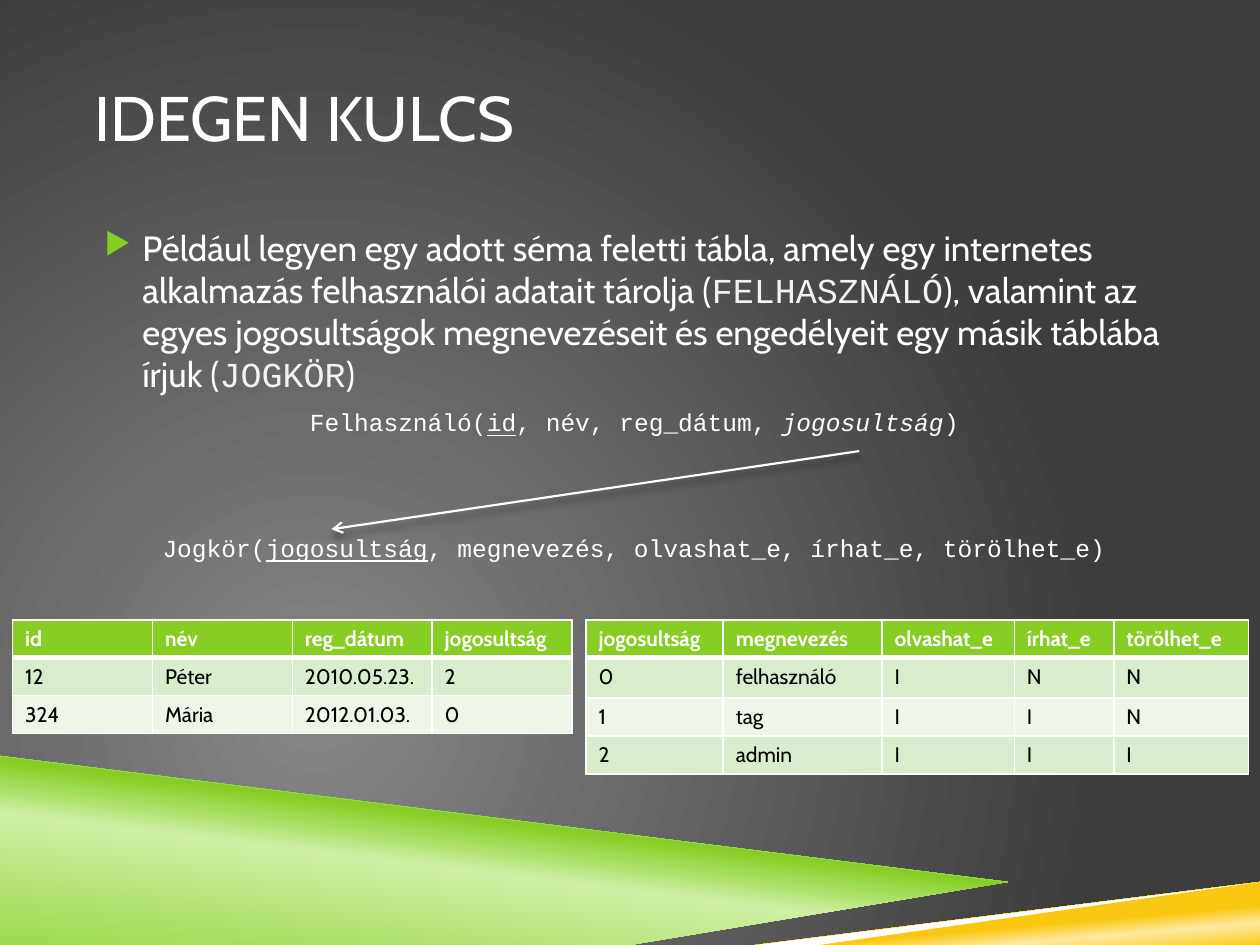
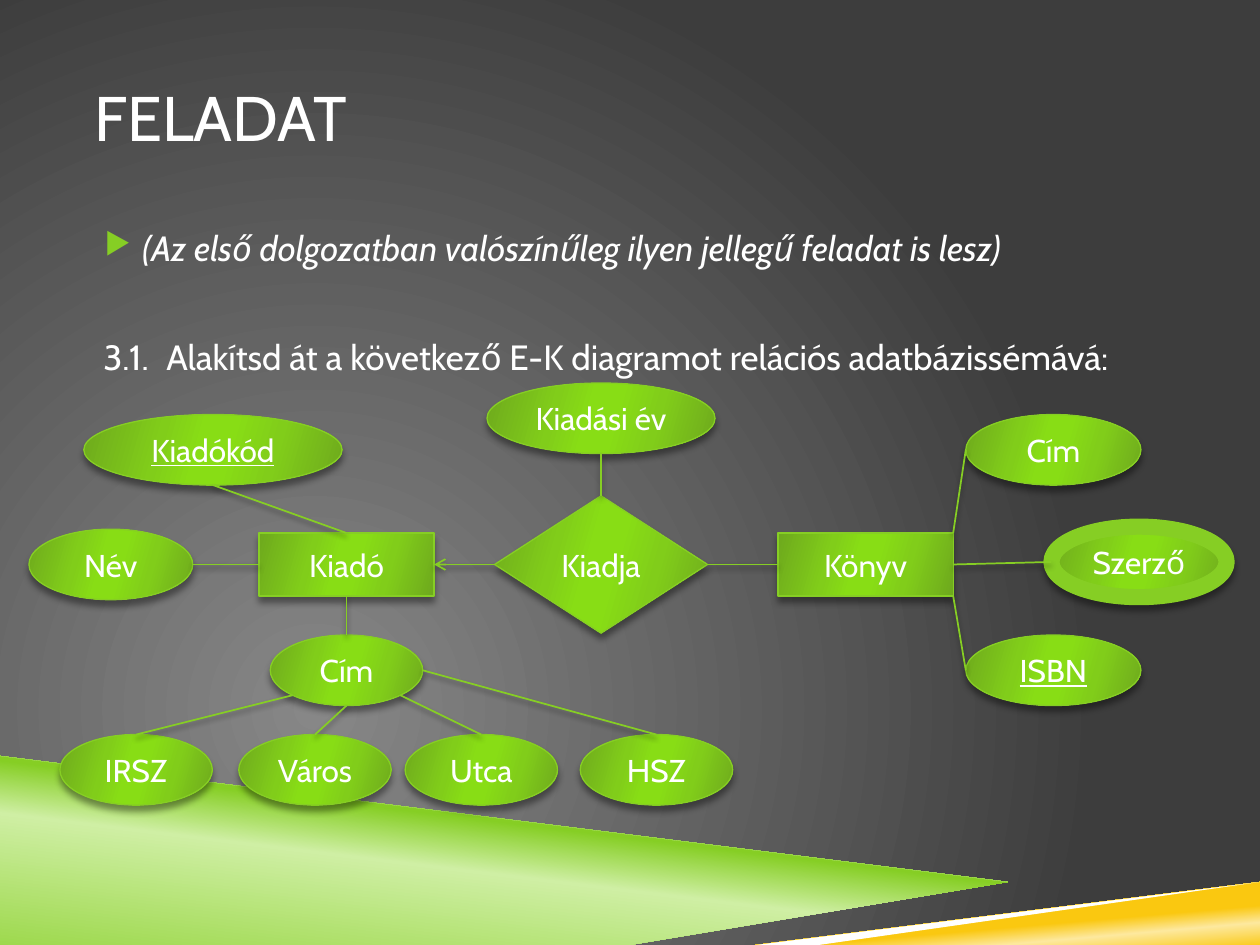
import math
from dataclasses import dataclass

import pptx
import pptx.dml.color
import pptx.enum.shapes
import pptx.enum.text
import pptx.oxml
import pptx.oxml.ns
import pptx.util

SHAPES = pptx.enum.shapes.MSO_SHAPE
ALIGN = pptx.enum.text.PP_ALIGN
ANCHOR = pptx.enum.text.MSO_ANCHOR
Inches, Pt = pptx.util.Inches, pptx.util.Pt
qn = pptx.oxml.ns.qn


@dataclass(frozen=True)
class Theme:
    white: str = "FFFFFF"
    black: str = "000000"
    code: str = "F2F2F2"
    green: str = "86CE24"
    bands: tuple = ("EDF6E8", "D9EDCD")
    sans: str = "Cabin"
    mono: str = "Courier New"
    title_size: int = 36
    body_size: int = 20
    node_size: int = 18
    schema_size: int = 14
    cell_size: int = 12
    background: tuple = ((0, "878787"), (100, "3D3D3D"))
    green_band: tuple = ((0, "86CE24"), (52, "CFEFA4"), (66, "86CE24"))
    gold_band: tuple = ((28, "FAC810"), (40, "FDE99F"), (48, "FAC810"))
    node_fill: tuple = ((0, "6EA91D"), (30, "81CD1A"), (45, "88DD15"),
                        (55, "88DD15"), (73, "81CD1A"), (100, "6EA91D"))
    deep_shadow: tuple = (4, 3.3)    # blur, distance
    light_shadow: tuple = (3, 2)


THEME = Theme()
WIDTH, HEIGHT = 10, 7.5
TITLE_AREA = (0.75, 0.3, 8.5, 1.25)
BODY_AREA = (0.75, 1.75, 8.5, 4.08)

# Footer bands: outline, then a colour or (stops, angle)
BANDS = [
    ([(0, 5.97), (7.92, 6.92), (2, HEIGHT), (0, HEIGHT)], (THEME.green_band, 277)),
    ([(1.98, HEIGHT), (WIDTH, 6.72), (WIDTH, HEIGHT)], (THEME.gold_band, 265)),
    ([(0, 5.92), (0, 6), (7.9, 6.93), (8.32, 6.9)], THEME.white),
    ([(WIDTH, 6.69), (1.84, HEIGHT), (2.66, HEIGHT), (WIDTH, 6.77)], THEME.white),
]

# Text styles used by the runs
BODY = dict(size=THEME.body_size)
CODE = dict(size=THEME.body_size, face=THEME.mono, color=THEME.code)
SCHEMA = dict(size=THEME.schema_size, face=THEME.mono)
KEY = dict(SCHEMA, underline=True)
FOREIGN = dict(SCHEMA, italic=True)
BULLET = dict(margin=0.38, indent=-0.3, bullet=True)
CENTERED = dict(margin=0.07, align=ALIGN.CENTER)

# Slide 1: paragraphs as (layout, runs)
FOREIGN_KEY_BODY = [
    (BULLET, [
        ("Például legyen egy adott séma feletti tábla, amely egy internetes "
         "alkalmazás felhasználói adatait tárolja (", BODY),
        ("FELHASZNÁLÓ", CODE),
        ("), valamint az egyes jogosultságok megnevezéseit és engedélyeit egy "
         "másik táblába írjuk (", BODY),
        ("JOGKÖR", CODE),
        (")", BODY)]),
    (CENTERED, [("Felhasználó(", SCHEMA), ("id", KEY), (", név, reg_dátum, ", SCHEMA),
                ("jogosultság", FOREIGN), (")", SCHEMA)]),
    (dict(CENTERED, before=55), [
        ("Jogkör(", SCHEMA), ("jogosultság", KEY),
        (", megnevezés, olvashat_e, írhat_e, törölhet_e)", SCHEMA)]),
]
REFERENCE_ARROW = ((6.82, 3.58), (2.63, 4.2))
TABLES_TOP = 4.92
TABLES = [  # left, column widths, row heights, rows
    (0.1, [1.11] * 4, [0.3] * 3, [
        ("id", "név", "reg_dátum", "jogosultság"),
        ("12", "Péter", "2010.05.23.", "2"),
        ("324", "Mária", "2012.01.03.", "0")]),
    (4.65, [1.09, 1.26, 1.05, 0.79, 1.07], [0.3, 0.32, 0.3, 0.3], [
        ("jogosultság", "megnevezés", "olvashat_e", "írhat_e", "törölhet_e"),
        ("0", "felhasználó", "I", "N", "N"),
        ("1", "tag", "I", "I", "N"),
        ("2", "admin", "I", "I", "I")]),
]

# Slide 2
TASK_BODY = [
    (BULLET, [("(Az első dolgozatban valószínűleg ilyen jellegű feladat is lesz)",
               dict(BODY, italic=True))]),
    (dict(margin=0.57, indent=-0.5, before=38), [
        ("3.1.\tAlakítsd át a következő E-K diagramot relációs adatbázissémává:", BODY)]),
]
KINDS = {  # preset shape and height
    "attribute": (SHAPES.OVAL, 0.56),
    "entity": (SHAPES.RECTANGLE, 0.5),
    "relation": (SHAPES.DIAMOND, 1.09),
}
UPPER, MIDDLE, LOWER, LEAVES = 3.57, 4.48, 5.32, 6.11    # row centres
NODES = {  # label, kind, centre x, centre y, width
    "code": ("Kiadókód", "attribute", 1.69, UPPER, 2.05),
    "book title": ("Cím", "attribute", 8.36, UPPER, 1.39),
    "publisher": ("Kiadó", "entity", 2.75, MIDDLE, 1.39),
    "book": ("Könyv", "entity", 6.87, MIDDLE, 1.39),
    "isbn": ("ISBN", "attribute", 8.36, LOWER, 1.39),
    "name": ("Név", "attribute", 0.88, MIDDLE, 1.3),
    "publishes": ("Kiadja", "relation", 4.77, MIDDLE, 1.69),
    "author": ("Szerző", "attribute", 9.04, 4.46, 1.39),
    "address": ("Cím", "attribute", 2.75, LOWER, 1.21),
    "postcode": ("IRSZ", "attribute", 1.08, LEAVES, 1.21),
    "city": ("Város", "attribute", 2.5, LEAVES, 1.21),
    "street": ("Utca", "attribute", 3.82, LEAVES, 1.21),
    "house": ("HSZ", "attribute", 5.21, LEAVES, 1.21),
    "year": ("Kiadási év", "attribute", 4.77, 3.32, 1.81),
}
KEY_NODES = {"code", "isbn"}
MULTIVALUED = {"author"}

# Directions from a node's centre
TOP, LEFT, BOTTOM, RIGHT = SITES = [(0, -1), (-1, 0), (0, 1), (1, 0)]
TOP_RIGHT, BOTTOM_RIGHT, BOTTOM_LEFT = (1, -1), (1, 1), (-1, 1)
LINKS = [  # from node, side, to node, side
    ("publishes", LEFT, "publisher", RIGHT),
    ("publishes", RIGHT, "book", LEFT),
    ("book title", LEFT, "book", TOP_RIGHT),
    ("isbn", LEFT, "book", BOTTOM_RIGHT),
    ("publisher", LEFT, "name", RIGHT),
    ("publisher", TOP, "code", BOTTOM),
    ("author", LEFT, "book", RIGHT),
    ("address", BOTTOM_LEFT, "postcode", TOP),
    ("address", BOTTOM, "city", TOP),
    ("address", BOTTOM_RIGHT, "street", TOP),
    ("address", RIGHT, "house", TOP),
    ("address", TOP, "publisher", BOTTOM),
    ("year", BOTTOM, "publishes", TOP),
]
ARROW_LINKS = {("publishes", "publisher")}


def rgb(color):
    return pptx.dml.color.RGBColor.from_string(color)


def xml(text):
    """Parse one drawing element, adding its namespace."""
    head, tail = text.split(">", 1)
    slash = "/" if head.endswith("/") else ""
    space = ' xmlns:a="http://schemas.openxmlformats.org/drawingml/2006/main"'
    return pptx.oxml.parse_xml(head.rstrip("/") + space + slash + ">" + tail)


def set_gradient(properties, stops, shade):
    """Swap the solid fill of a properties element for a gradient."""
    marks = "".join(f'<a:gs pos="{at * 1000}"><a:srgbClr val="{color}"/></a:gs>'
                    for at, color in stops)
    solid = properties.find(qn("a:solidFill"))
    properties.replace(solid, xml(
        f'<a:gradFill rotWithShape="1"><a:gsLst>{marks}</a:gsLst>{shade}</a:gradFill>'))


def linear(angle):
    return f'<a:lin ang="{angle * 60000}" scaled="0"/>'


def add_shadow(properties, blur, distance):
    for effects in properties.findall(qn("a:effectLst")):
        properties.remove(effects)
    properties.append(xml(
        f'<a:effectLst><a:outerShdw blurRad="{Pt(blur)}" dist="{Pt(distance)}" dir="5400000" '
        'rotWithShape="0"><a:srgbClr val="000000"><a:alpha val="40000"/></a:srgbClr>'
        '</a:outerShdw></a:effectLst>'))


def add_run(para, text, size, face=THEME.sans, color=THEME.white, **flags):
    span = para.add_run()
    span.text = text
    span.font.size, span.font.name = Pt(size), face
    span.font.color.rgb = rgb(color)
    for flag, value in flags.items():
        setattr(span.font, flag, value)


def add_text(page, area, paragraphs, anchor=ANCHOR.TOP):
    frame = page.shapes.add_textbox(*map(Inches, area)).text_frame
    frame.word_wrap, frame.vertical_anchor = True, anchor
    frame.margin_left = frame.margin_right = 0
    for index, (layout, runs) in enumerate(paragraphs):
        para = frame.add_paragraph() if index else frame.paragraphs[0]
        para.alignment = layout.get("align", ALIGN.LEFT)
        para.space_before = Pt(layout.get("before", 7))
        properties = para._p.get_or_add_pPr()
        properties.set("marL", str(Inches(layout.get("margin", 0))))
        properties.set("indent", str(Inches(layout.get("indent", 0))))
        if layout.get("bullet"):
            for mark in (f'<a:buClr><a:srgbClr val="{THEME.green}"/></a:buClr>',
                         '<a:buSzPct val="85000"/>', '<a:buChar char="▶"/>'):
                properties.append(xml(mark))
        for text, style in runs:
            add_run(para, text, **style)


def add_line(page, start, end, color, width, shadow, arrow=False):
    line = page.shapes.add_connector(pptx.enum.shapes.MSO_CONNECTOR.STRAIGHT,
                                     *map(Inches, (*start, *end)))
    line.line.color.rgb, line.line.width = rgb(color), Pt(width)
    properties = line.element.spPr
    if arrow:
        properties.find(qn("a:ln")).append(xml('<a:tailEnd type="arrow"/>'))
    add_shadow(properties, *shadow)
    return line


def add_page(deck, title, paragraphs):
    """Blank page with the shared background, bands, title and body."""
    page = deck.slides.add_slide(deck.slide_layouts[6])
    page.background.fill.solid()
    set_gradient(next(page.element.iter(qn("p:bgPr"))), THEME.background,
                 '<a:path path="circle"><a:fillToRect l="50000" t="100000" '
                 'r="100000" b="50000"/></a:path>')
    for points, fill in BANDS:
        builder = page.shapes.build_freeform(*points[0], scale=Inches(1))
        builder.add_line_segments(points[1:], close=True)
        band = builder.convert_to_shape()
        band.shadow.inherit = False
        band.line.fill.background()
        band.fill.solid()
        if isinstance(fill, str):
            band.fill.fore_color.rgb = rgb(fill)
        else:
            set_gradient(band.element.spPr, fill[0], linear(fill[1]))
    heading = [(dict(before=0), [(title, dict(size=THEME.title_size))])]
    add_text(page, TITLE_AREA, heading, ANCHOR.MIDDLE)
    add_text(page, BODY_AREA, paragraphs)
    return page


def style_cell(cell, row, text):
    header = row == 0
    rule = {"L": 1, "R": 1, "T": 3 if row == 1 else 1, "B": 3 if header else 1}
    properties = cell._tc.get_or_add_tcPr()
    for side, width in rule.items():
        properties.append(xml(f'<a:ln{side} w="{Pt(width)}"><a:solidFill><a:srgbClr '
                              f'val="{THEME.white}"/></a:solidFill></a:ln{side}>'))
    cell.fill.solid()
    cell.fill.fore_color.rgb = rgb(THEME.green if header else THEME.bands[row % 2])
    add_run(cell.text_frame.paragraphs[0], text, THEME.cell_size,
            color=THEME.white if header else THEME.black, bold=header)


def add_data_table(page, left, widths, heights, rows):
    area = (left, TABLES_TOP, sum(widths), sum(heights))
    table = page.shapes.add_table(len(rows), len(widths), *map(Inches, area)).table
    table.horz_banding = False
    for column, width in zip(table.columns, widths):
        column.width = Inches(width)
    for index, (values, height) in enumerate(zip(rows, heights)):
        table.rows[index].height = Inches(height)
        for column, text in enumerate(values):
            style_cell(table.cell(index, column), index, text)


def add_node(page, name):
    label, kind, x, y, width = NODES[name]
    preset, height = KINDS[kind]
    area = (x - width / 2, y - height / 2, width, height)
    node = page.shapes.add_shape(preset, *map(Inches, area))
    node.fill.solid()
    set_gradient(node.element.spPr, THEME.node_fill, linear(16))
    node.line.color.rgb = rgb(THEME.green)
    node.line.width = Pt(9.25 if name in MULTIVALUED else 0.75)
    add_shadow(node.element.spPr, *THEME.deep_shadow)
    frame = node.text_frame
    frame.margin_left = frame.margin_right = 0
    frame.vertical_anchor = ANCHOR.MIDDLE
    frame.paragraphs[0].alignment = ALIGN.CENTER
    add_run(frame.paragraphs[0], label, THEME.node_size, underline=name in KEY_NODES)
    return node


def edge_point(name, side):
    _, kind, x, y, width = NODES[name]
    reach = math.sqrt(0.5) if kind == "attribute" and all(side) else 1
    return (x + side[0] * reach * width / 2, y + side[1] * reach * KINDS[kind][1] / 2)


def add_link(page, nodes, source, source_side, target, target_side):
    line = add_line(page, edge_point(source, source_side), edge_point(target, target_side),
                    THEME.green, 1, THEME.light_shadow, (source, target) in ARROW_LINKS)
    for connect, name, side in ((line.begin_connect, source, source_side),
                                (line.end_connect, target, target_side)):
        if NODES[name][1] != "attribute" and side in SITES:
            connect(nodes[name], SITES.index(side))


def main():
    deck = pptx.Presentation()
    deck.slide_width, deck.slide_height = Inches(WIDTH), Inches(HEIGHT)

    # Foreign key example
    page = add_page(deck, "IDEGEN KULCS", FOREIGN_KEY_BODY)
    add_line(page, *REFERENCE_ARROW, THEME.white, 1.25, THEME.deep_shadow, arrow=True)
    for table in TABLES:
        add_data_table(page, *table)

    # Entity-relationship exercise
    page = add_page(deck, "FELADAT", TASK_BODY)
    nodes = {name: add_node(page, name) for name in NODES}
    for link in LINKS:
        add_link(page, nodes, *link)

    deck.save("out.pptx")


if __name__ == "__main__":
    main()
